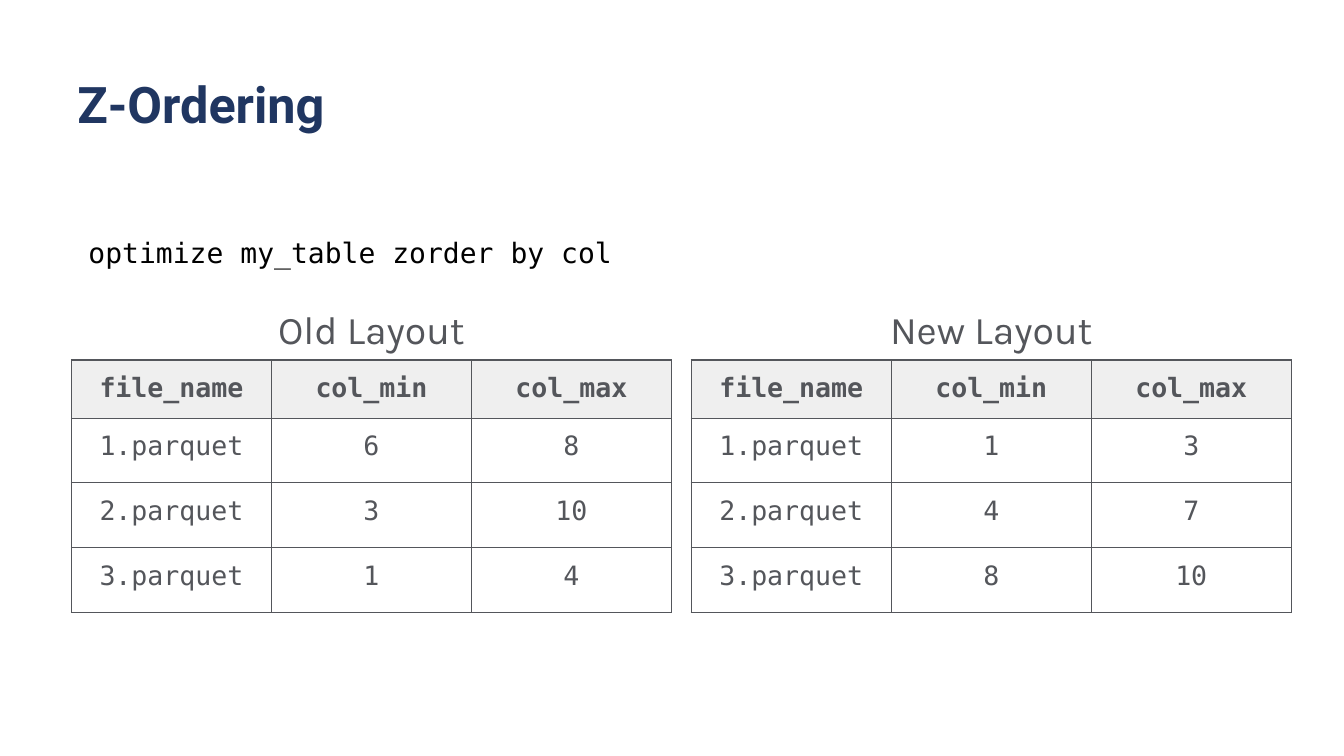
import pptx
import pptx.dml.color
import pptx.enum.text
import pptx.oxml.ns
import pptx.util
from lxml import etree
from pptx.util import Cm

MONO = "DejaVu Sans Mono"
NAVY, BLACK, GREY, PALE = "203661", "000000", "54565B", "EFEFEF"
COLUMN_WIDTH = 5.04
LAYOUT_WIDTH = 3 * COLUMN_WIDTH
HEADINGS = ["file_name", "col_min", "col_max"]
LAYOUTS = [
    ("Old Layout", 1.8, [(6, 8), (3, 10), (1, 4)]),
    ("New Layout", 17.42, [(1, 3), (4, 7), (8, 10)]),
]


def color(code):
    return pptx.dml.color.RGBColor.from_string(code)


def add_run(paragraph, words, size, face, code, bold=False):
    run = paragraph.add_run()
    run.text = words
    run.font.size = pptx.util.Pt(size)
    run.font.name = face
    run.font.bold = bold
    run.font.color.rgb = color(code)


def add_text(slide, words, place, insets, size, face, code, bold=False,
             align="LEFT", anchor="TOP", spacing=1.0):
    frame = slide.shapes.add_textbox(*map(Cm, place)).text_frame
    frame.word_wrap = True
    frame.vertical_anchor = pptx.enum.text.MSO_ANCHOR[anchor]
    frame.margin_left, frame.margin_right = map(Cm, insets[:2])
    frame.margin_top = frame.margin_bottom = Cm(insets[2])
    paragraph = frame.paragraphs[0]
    paragraph.alignment = pptx.enum.text.PP_ALIGN[align]
    paragraph.line_spacing = spacing
    add_run(paragraph, words, size, face, code, bold)


def add_border(cell, side, points):
    properties = cell._tc.get_or_add_tcPr()
    qn = pptx.oxml.ns.qn
    line = etree.SubElement(properties, qn(f"a:ln{side}"), w=str(pptx.util.Pt(points)))
    fill = etree.SubElement(line, qn("a:solidFill"))
    etree.SubElement(fill, qn("a:srgbClr"), val=GREY)


def fill_cell(cell, words, outer_sides, heading):
    cell.margin_left = cell.margin_right = Cm(0.33)
    cell.margin_top = cell.margin_bottom = Cm(0.33)
    paragraph = cell.text_frame.paragraphs[0]
    paragraph.alignment = pptx.enum.text.PP_ALIGN.CENTER
    add_run(paragraph, words, 19, MONO, GREY, heading)
    for side in "LRTB":
        add_border(cell, side, 1 if side in outer_sides else 0.75)
    if heading:
        cell.fill.solid()
        cell.fill.fore_color.rgb = color(PALE)
    else:
        cell.fill.background()


def add_file_table(slide, left, ranges):
    files = [[f"{number}.parquet", str(low), str(high)]
             for number, (low, high) in enumerate(ranges, 1)]
    rows = [HEADINGS] + files
    heights = [1.02] + [1.63] * len(files)
    table = slide.shapes.add_table(
        len(rows), len(HEADINGS), Cm(left), Cm(9.07),
        Cm(LAYOUT_WIDTH), Cm(sum(heights))).table
    table.horz_banding = False
    for column in table.columns:
        column.width = Cm(COLUMN_WIDTH)
    for r, (row, height) in enumerate(zip(rows, heights)):
        table.rows[r].height = Cm(height)
        for c, words in enumerate(row):
            edges = {"L": c == 0, "R": c == len(row) - 1,
                     "T": r == 0, "B": r == len(rows) - 1}
            outer_sides = [side for side, outer in edges.items() if outer]
            fill_cell(table.cell(r, c), words, outer_sides, r == 0)


def main():
    deck = pptx.Presentation()
    deck.slide_width, deck.slide_height = Cm(33.87), Cm(19.05)
    slide = deck.slides.add_slide(deck.slide_layouts[6])
    add_text(slide, "Z-Ordering", (1.7, 0.69, 30.5, 2.82), (0.25, 0.25, 0.13),
             36, "Roboto", NAVY, bold=True, anchor="BOTTOM", spacing=0.9)
    add_text(slide, "optimize my_table zorder by col", (1.55, 5.69, 30.5, 1.5),
             (0.68, 0.25, 0.13), 20, MONO, BLACK, spacing=1.14)
    for caption, left, ranges in LAYOUTS:
        add_file_table(slide, left, ranges)
        add_text(slide, caption, (left, 7.37, LAYOUT_WIDTH, 2.39),
                 (0.33, 0.33, 0.33), 28, "Karla", GREY, align="CENTER")
    deck.save("out.pptx")


if __name__ == "__main__":
    main()
